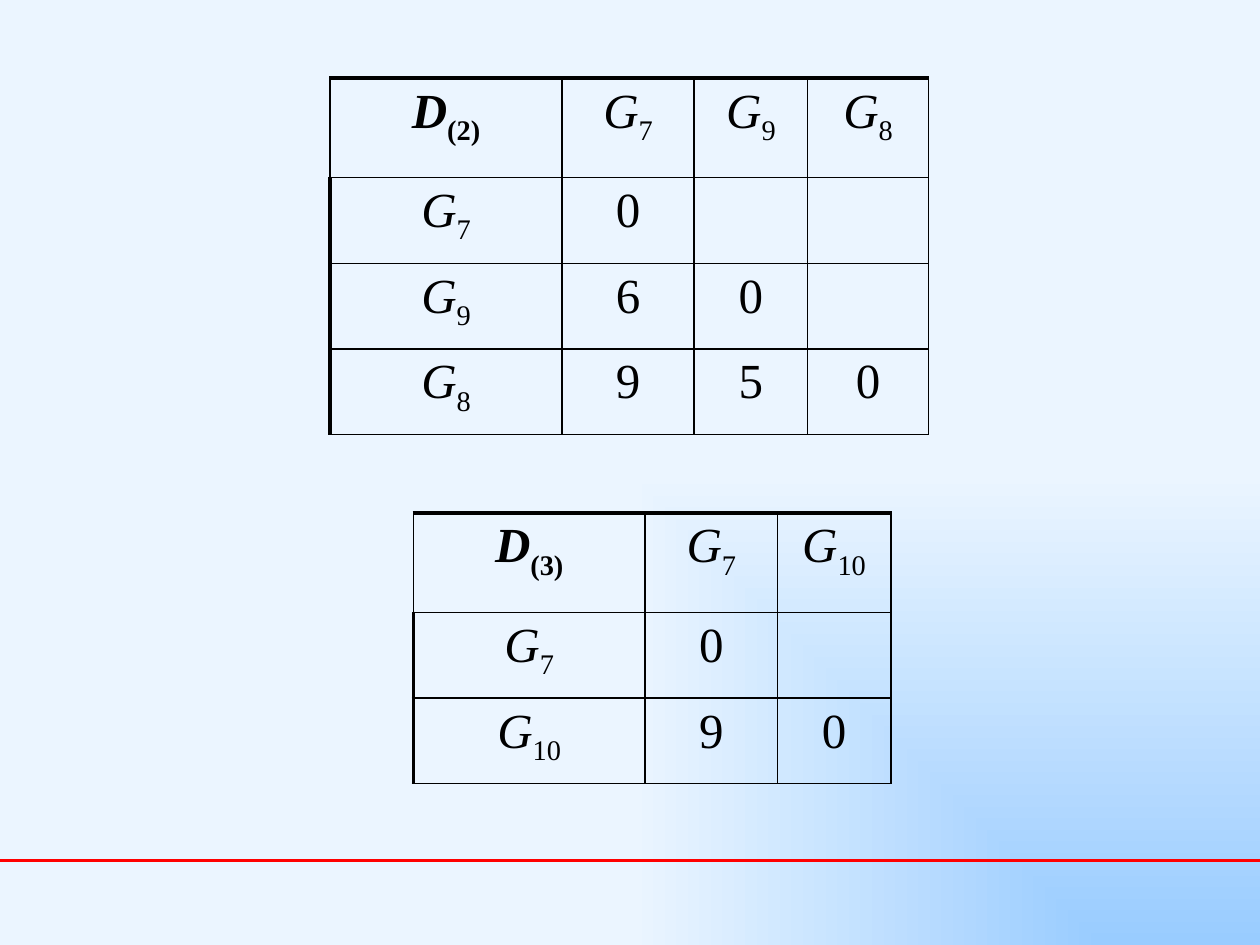
from pptx import Presentation
from pptx.dml.color import RGBColor
from pptx.enum.shapes import MSO_CONNECTOR
from pptx.enum.text import PP_ALIGN
from pptx.oxml import parse_xml
from pptx.oxml.ns import nsdecls
from pptx.util import Inches, Pt

CENTER = PP_ALIGN.CENTER
STRAIGHT = MSO_CONNECTOR.STRAIGHT

# Content: an underscore starts a subscript
BLACK, RED, SKY, PALE = "000000", "FF0000", "99CCFF", "EBF5FF"
FONT, SIZE = "Times New Roman", 28
THIN, THICK = 1, 2.25
COL_WIDTHS = [1.84, 1.05, 0.9, 0.96]
HEADER_HEIGHT, ROW_HEIGHT = 0.79, 0.68
MATRICES = [
    {"at": (2.62, 0.62), "rows": [
        ["D_(2)", "G_7", "G_9", "G_8"],
        ["G_7", "0", "", ""],
        ["G_9", "6", "0", ""],
        ["G_8", "9", "5", "0"],
    ]},
    {"at": (3.28, 4.07), "rows": [
        ["D_(3)", "G_7", "G_10"],
        ["G_7", "0", ""],
        ["G_10", "9", "0"],
    ]},
]


def rgb(color):
    return RGBColor.from_string(color)


def set_background(s):
    s._element.cSld.insert(0, parse_xml(
        f'<p:bg {nsdecls("p", "a")}><p:bgPr><a:gradFill rotWithShape="0"><a:gsLst>'
        f'<a:gs pos="0"><a:srgbClr val="{SKY}"/></a:gs>'
        f'<a:gs pos="100000"><a:srgbClr val="{PALE}"/></a:gs></a:gsLst>'
        '<a:path path="rect"><a:fillToRect l="100000" t="100000"/></a:path>'
        '</a:gradFill><a:effectLst/></p:bgPr></p:bg>'))


def set_borders(cell, widths):
    tcPr = cell._tc.get_or_add_tcPr()
    for i, (side, width) in enumerate(widths.items()):
        tcPr.insert(i, parse_xml(
            f'<a:ln{side} {nsdecls("a")} w="{Pt(width)}"><a:solidFill>'
            f'<a:srgbClr val="{BLACK}"/></a:solidFill></a:ln{side}>'))


def write_symbol(cell, text):
    p = cell.text_frame.paragraphs[0]
    p.alignment = CENTER
    p.font.name, p.font.size = FONT, Pt(SIZE)
    p.font.color.rgb = rgb(BLACK)
    p.font.bold = text.startswith("D")
    base, _, subscript = text.partition("_")
    if base:
        r = p.add_run()
        r.text = base
        r.font.italic = base.isalpha()
    if subscript:
        r = p.add_run()
        r.text = subscript
        r._r.get_or_add_rPr().set("baseline", "-25000")


def add_matrix(s, at, rows):
    widths = COL_WIDTHS[:len(rows[0])]
    heights = [HEADER_HEIGHT] + [ROW_HEIGHT] * (len(rows) - 1)
    box = [Inches(v) for v in (*at, sum(widths), sum(heights))]
    table = s.shapes.add_table(len(rows), len(widths), *box).table
    table.first_row = table.horz_banding = False
    for column, width in zip(table.columns, widths):
        column.width = Inches(width)
    for row, height in zip(table.rows, heights):
        row.height = Inches(height)
    for i, row in enumerate(rows):
        for j, text in enumerate(row):
            cell = table.cell(i, j)
            cell.fill.background()
            set_borders(cell, {"L": THICK if i and not j else THIN, "R": THIN,
                               "T": THIN if i else THICK, "B": THIN})
            write_symbol(cell, text)


prs = Presentation()
prs.slide_width, prs.slide_height = Inches(10), Inches(7.5)
s = prs.slides.add_slide(prs.slide_layouts[6])
set_background(s)

# Red footer rule
rule = s.shapes.add_connector(STRAIGHT, 0, Inches(6.83), Inches(10), Inches(6.83))
rule.line.color.rgb = rgb(RED)
rule.line.width = Pt(1.75)
rule._element.spPr.append(parse_xml(f'<a:effectLst {nsdecls("a")}/>'))

# Distance matrices
for matrix in MATRICES:
    add_matrix(s, **matrix)

prs.save("out.pptx")
